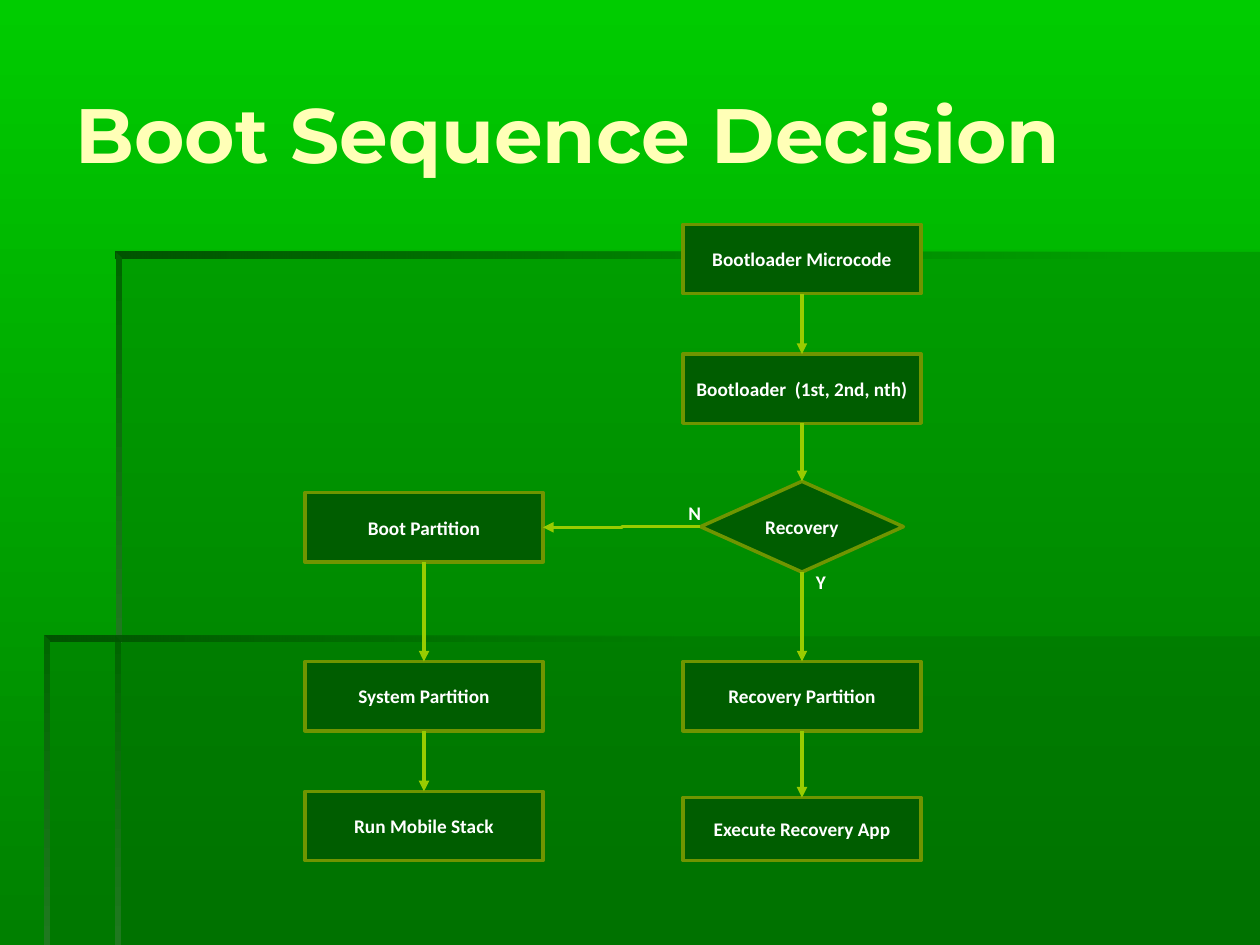
from lxml.etree import SubElement
from pptx import Presentation
from pptx.dml.color import RGBColor
from pptx.enum.shapes import MSO_CONNECTOR as Connector, MSO_SHAPE as Preset
from pptx.enum.text import MSO_ANCHOR as Anchor, PP_ALIGN as Align
from pptx.oxml.ns import qn
from pptx.util import Inches, Pt

PANEL = "006600"
TOP, LEFT, BOTTOM, RIGHT = range(4)
LEFT_COLUMN, RIGHT_COLUMN = 2.42, 5.42
STEP_WIDTH, STEP_HEIGHT = 1.89, 0.55


def color(value):
    return RGBColor.from_string(value)


def set_gradient(fill, start, end, angle):
    fill.gradient()
    fill.gradient_angle = angle
    for stop, value in zip(fill.gradient_stops, (start, end)):
        stop.color.rgb = color(value)


def set_last_alpha(shape, percent):
    last_color = list(shape._element.spPr.iter(qn("a:srgbClr")))[-1]
    SubElement(last_color, qn("a:alpha")).set("val", str(percent * 1000))


def add_outline(slide, points):
    corners = [(Inches(x), Inches(y)) for x, y in points]
    builder = slide.shapes.build_freeform(*corners[0])
    builder.add_line_segments(corners[1:], close=True)
    shape = builder.convert_to_shape()
    shape.shadow.inherit = False
    shape.line.fill.background()
    return shape


def add_panel(slide, points):
    shape = add_outline(slide, points)
    shape.fill.solid()
    shape.fill.fore_color.rgb = color(PANEL)
    set_last_alpha(shape, 30)


def add_horizontal_edge(slide, left, top, width, height):
    right, bottom = left + width, top + height
    shape = add_outline(slide, [(left, top), (left, bottom), (right, bottom), (right, top)])
    set_gradient(shape.fill, "005400", PANEL, 0)
    set_last_alpha(shape, 0)


def add_vertical_edge(slide, left, top, width, height):
    right, bottom = left + width, top + height
    shape = add_outline(slide, [(left, top), (left, bottom), (right, bottom), (right, top + width)])
    set_gradient(shape.fill, PANEL, "1F791F", 270)


def add_backdrop(slide):
    set_gradient(slide.background.fill, "00CC00", "008000", 270)
    add_panel(slide, [(0.92, 5.05), (0.92, 7.5), (10, 7.5), (10, 5.05)])
    add_panel(slide, [(0.94, 5.06), (0.36, 5.06), (0.36, 7.5), (10, 7.5), (10, 2), (0.94, 2)])
    add_horizontal_edge(slide, 0.92, 2, 8, 0.05)
    add_vertical_edge(slide, 0.92, 2, 0.05, 3.1)
    add_vertical_edge(slide, 0.91, 5.04, 0.05, 2.46)
    add_horizontal_edge(slide, 0.35, 5.04, 5, 0.05)
    add_vertical_edge(slide, 0.35, 5.04, 0.05, 2.46)


def write_text(shape, text, size=11, font="Calibri", ink="FFFFFF", align=Align.CENTER):
    frame = shape.text_frame
    frame.word_wrap = True
    frame.vertical_anchor = Anchor.MIDDLE
    paragraph = frame.paragraphs[0]
    paragraph.alignment = align
    run = paragraph.add_run()
    run.text = text
    run.font.name = font
    run.font.size = Pt(size)
    run.font.bold = True
    run.font.color.rgb = color(ink)


def add_text(slide, box, text, **style):
    write_text(slide.shapes.add_textbox(*map(Inches, box)), text, **style)


def add_step(slide, box, text, preset=Preset.RECTANGLE):
    shape = slide.shapes.add_shape(preset, *map(Inches, box))
    shape.shadow.inherit = False
    shape.fill.solid()
    shape.fill.fore_color.rgb = color("005D00")
    shape.line.color.rgb = color("6F9500")
    shape.line.width = Pt(2)
    write_text(shape, text)
    return shape


def add_arrow(slide, source, target, source_site=BOTTOM, target_site=TOP):
    arrow = slide.shapes.add_connector(Connector.ELBOW, 0, 0, 0, 0)
    arrow.begin_connect(source, source_site)
    arrow.end_connect(target, target_site)
    arrow.line.color.rgb = color("98CC00")
    arrow.line.width = Pt(2)
    SubElement(arrow.line._get_or_add_ln(), qn("a:tailEnd")).set("type", "triangle")
    SubElement(arrow._element.spPr, qn("a:effectLst"))


def add_column(slide, left, steps):
    return [
        add_step(slide, (left, top, STEP_WIDTH, height), text)
        for top, height, text in steps
    ]


def add_flowchart(slide):
    microcode, bootloader, recovery_partition, recovery_app = add_column(slide, RIGHT_COLUMN, [
        (1.78, STEP_HEIGHT, "Bootloader Microcode"),
        (2.81, STEP_HEIGHT, "Bootloader  (1st, 2nd, nth)"),
        (5.25, STEP_HEIGHT, "Recovery Partition"),
        (6.33, 0.5, "Execute Recovery App"),
    ])
    boot, system, stack = add_column(slide, LEFT_COLUMN, [
        (3.91, STEP_HEIGHT, "Boot Partition"),
        (5.25, STEP_HEIGHT, "System Partition"),
        (6.28, STEP_HEIGHT, "Run Mobile Stack"),
    ])
    decision = add_step(slide, (5.56, 3.82, 1.61, 0.72), "Recovery", Preset.FLOWCHART_DECISION)

    right_chain = [microcode, bootloader, decision, recovery_partition, recovery_app]
    for chain in (right_chain, [boot, system, stack]):
        for source, target in zip(chain, chain[1:]):
            add_arrow(slide, source, target)
    add_arrow(slide, decision, boot, LEFT, RIGHT)

    add_text(slide, (6.36, 4.48, 0.31, 0.28), "Y")
    add_text(slide, (5.36, 3.93, 0.31, 0.28), "N")


def main():
    presentation = Presentation()
    presentation.slide_width = Inches(10)
    presentation.slide_height = Inches(7.5)
    slide = presentation.slides.add_slide(presentation.slide_layouts[6])
    add_backdrop(slide)
    add_text(slide, (0.5, 0.27, 9.17, 1.57), "Boot Sequence Decision",
             size=44, font="Montserrat", ink="FFFFB7", align=Align.LEFT)
    add_flowchart(slide)
    presentation.save("out.pptx")


if __name__ == "__main__":
    main()
